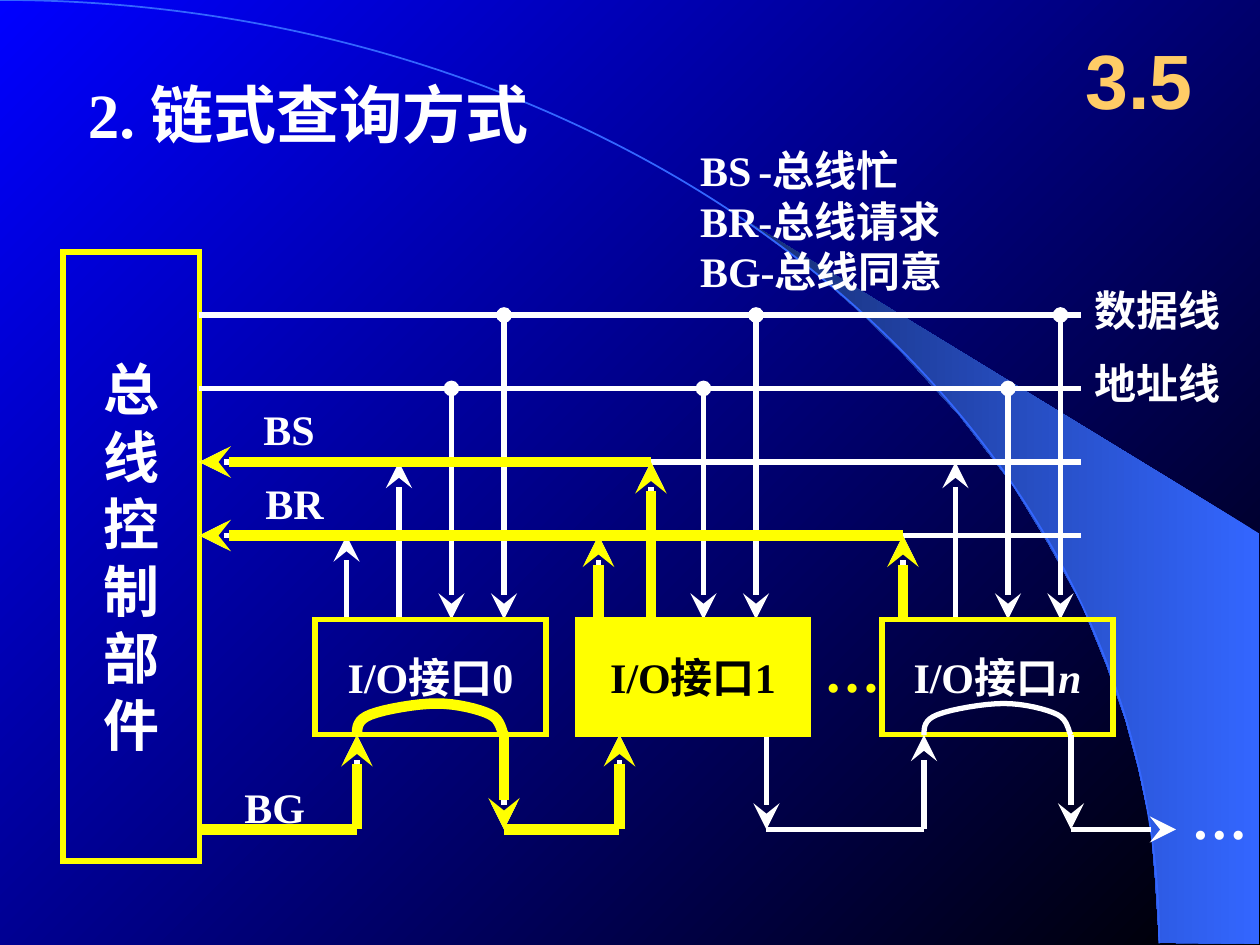
import pptx
import pptx.util
import pptx.dml.color
import pptx.enum.shapes
import pptx.enum.text
import pptx.oxml.ns
import lxml.etree

RGBColor = pptx.dml.color.RGBColor
SHAPES = pptx.enum.shapes.MSO_SHAPE
ALIGN = pptx.enum.text.PP_ALIGN
ANCHOR = pptx.enum.text.MSO_ANCHOR
Pt = pptx.util.Pt

WHITE = RGBColor(0xFF, 0xFF, 0xFF)
BLACK = RGBColor(0, 0, 0)
YELLOW = RGBColor(0xFF, 0xFF, 0)
BLUE = RGBColor(0, 0, 0xFF)
SKY = RGBColor(0x33, 0x66, 0xFF)
NAVY = RGBColor(0x17, 0x2F, 0x75)
GOLD = RGBColor(0xFF, 0xCC, 0x66)
SERIF = "Times New Roman"

# The diagram sits on a grid of 12 steps to the inch: 120 by 90 steps.
DATA, ADDRESS, BUSY, REQUEST = 30, 37, 44, 51
GRANT = 79
BUS_LEFT, BUS_RIGHT = 19, 103
IO_TOP, IO_WIDTH, IO_HEIGHT = 59, 22, 11
IO_BOTTOM = IO_TOP + IO_HEIGHT
TAP_GAP = 5
HUMP_WIDTH = 14


def grid(steps):
    return pptx.util.Cm(steps * 2.54 / 12)


def style_line(shape, color, width, head=None, tail=None):
    """Mitred line; thin arrows get large heads."""
    shape.line.color.rgb = color
    shape.line.width = Pt(width)
    outline = shape.line._get_or_add_ln()
    lxml.etree.SubElement(outline, pptx.oxml.ns.qn("a:miter"), lim="800000")
    for tag, kind in (("a:headEnd", head), ("a:tailEnd", tail)):
        if kind:
            size = "lg" if kind == "stealth" and width == 3 else "med"
            lxml.etree.SubElement(
                outline, pptx.oxml.ns.qn(tag), type=kind, w=size, len=size)


def add_line(slide, start, end, color=WHITE, width=3, head=None, tail=None):
    line = slide.shapes.add_connector(
        pptx.enum.shapes.MSO_CONNECTOR.STRAIGHT, *map(grid, start + end))
    style_line(line, color, width, head, tail)
    lxml.etree.SubElement(line._element.spPr, pptx.oxml.ns.qn("a:effectLst"))


def add_path(slide, points, close=False):
    corners = [(grid(x), grid(y)) for x, y in points]
    builder = slide.shapes.build_freeform(*corners[0])
    builder.add_line_segments(corners[1:], close=close)
    outline = builder.convert_to_shape()
    outline.shadow.inherit = False
    outline.fill.background()
    return outline


def set_font(paragraph, size, color, name=SERIF):
    font = paragraph.font
    font.name, font.size, font.bold = name, Pt(size), True
    font.color.rgb = color


def write(frame, lines, size, color=WHITE, align=ALIGN.LEFT, name=SERIF):
    for index, words in enumerate(lines):
        paragraph = frame.paragraphs[0] if index == 0 else frame.add_paragraph()
        paragraph.alignment = align
        paragraph.add_run().text = words
        set_font(paragraph, size, color, name)


def add_label(slide, box, lines, size=24, color=WHITE):
    frame = slide.shapes.add_textbox(*map(grid, box)).text_frame
    frame.word_wrap = False
    write(frame, lines, size, color)
    return frame


def add_unit(slide, box, lines, size, fill=None, color=WHITE):
    unit = slide.shapes.add_shape(SHAPES.RECTANGLE, *map(grid, box))
    unit.shadow.inherit = False
    if fill is None:
        unit.fill.background()
    else:
        unit.fill.solid()
        unit.fill.fore_color.rgb = fill
    style_line(unit, YELLOW, 3)
    unit.text_frame.word_wrap = False
    unit.text_frame.vertical_anchor = ANCHOR.MIDDLE
    write(unit.text_frame, lines, size, color, ALIGN.CENTER)
    return unit.text_frame


def set_gradient(fill, first, last, angle):
    fill.gradient()
    fill.gradient_angle = angle
    for stop, color, position in zip(fill.gradient_stops, (first, last), (0, 1)):
        stop.color.rgb = color
        stop.position = position


def add_backdrop(slide):
    set_gradient(slide.background.fill, BLACK, BLUE, 135)
    beam = add_path(slide, [
        (110.4, 89.8), (119.9, 89.9), (119.9, 50.8), (70.7, 20.8), (74.9, 23.9),
        (78.4, 26.6), (82.2, 30), (85.9, 33.6), (91.4, 39.6), (96.4, 46.1),
        (99.8, 51.7), (103, 57.5), (105.4, 63.4), (107.2, 68.6), (108.4, 73.1),
        (109.6, 78.7), (110, 83.5)], close=True)
    set_gradient(beam.fill, SKY, NAVY, 180)
    beam.line.fill.background()
    horizon = slide.shapes.add_shape(
        SHAPES.ARC, *map(grid, (-110.4, 0, 220.8, 179.7)))
    horizon.shadow.inherit = False
    horizon.fill.background()
    style_line(horizon, SKY, 1)


def add_headings(slide):
    add_label(slide, (7.2, 6.6, 47, 8.4), ["2. 链式查询方式"], 36)
    section = slide.shapes.add_textbox(*map(grid, (101, 2, 15, 11))).text_frame
    section.word_wrap = True
    section.vertical_anchor = ANCHOR.MIDDLE
    write(section, ["3.5"], 44, GOLD, ALIGN.CENTER, "Arial")


def add_legend(slide, box):
    legend = add_label(slide, box, ["BS", "BR-总线请求", "BG-总线同意"])
    busy = legend.paragraphs[0]
    gap = busy.add_run()
    gap.text = " "
    gap.font.size = Pt(16)
    busy.add_run().text = "-总线忙"


def add_buses(slide, left, right):
    for level, head in ((DATA, None), (ADDRESS, None),
                        (BUSY, "stealth"), (REQUEST, "stealth")):
        add_line(slide, (left, level), (right, level), head=head)
    for level, name in ((DATA, "数据线"), (ADDRESS, "地址线")):
        add_label(slide, (right + 0.1, level - 3.5, 15, 6), [name])
    for x, y, name in ((4.9, 37.8, "BS"), (5.1, 44.9, "BR"), (3.1, 73.8, "BG")):
        add_label(slide, (left + x, y, 10, 6), [name])


def add_taps(slide, first):
    """Request, busy, address and data arrows above one interface."""
    for index, level in enumerate((REQUEST, BUSY, ADDRESS, DATA)):
        x = first + index * TAP_GAP
        bus, port = (x, level), (x, IO_TOP)
        if level in (REQUEST, BUSY):
            add_line(slide, port, bus, tail="stealth")
        else:
            add_line(slide, bus, port, head="oval", tail="stealth")


def add_hump(slide, left, color, width, steps=8):
    """Curve that passes the grant through an interface."""
    curves = [((0, 0), (0, -0.72), (0, -1.45), (1.3, -1.95)),
              ((1.3, -1.95), (2.6, -2.45), (5.7, -3), (7.6, -3)),
              ((7.6, -3), (9.5, -3), (11.7, -2.45), (12.7, -1.95)),
              ((12.7, -1.95), (13.75, -1.45), (13.75, -0.25), (HUMP_WIDTH, 0))]
    points = [(left, IO_BOTTOM)]
    for a, b, c, d in curves:
        for t in (step / steps for step in range(1, steps + 1)):
            weights = ((1 - t) ** 3, 3 * t * (1 - t) ** 2, 3 * t * t * (1 - t), t ** 3)
            x, y = (sum(w * p[axis] for w, p in zip(weights, (a, b, c, d)))
                    for axis in (0, 1))
            points.append((left + x, IO_BOTTOM + y))
    style_line(add_path(slide, points), color, width)


def add_grant_step(slide, start, end, color, width):
    """Grant that runs along the bottom and rises into an interface."""
    add_line(slide, (start, GRANT), (end, GRANT), color, width)
    add_line(slide, (end, GRANT), (end, IO_BOTTOM), color, width, tail="stealth")


def add_grant_drop(slide, x, color=WHITE, width=3):
    add_line(slide, (x, IO_BOTTOM), (x, GRANT), color, width, tail="stealth")


def add_idle_chain(slide):
    for start, end in ((BUS_LEFT, 34), (48, 59), (73, 88)):
        add_grant_step(slide, start, end, WHITE, 3)
    for x in (48, 73, 102):
        add_grant_drop(slide, x)
    add_hump(slide, 88, WHITE, 3)
    add_line(slide, (102, GRANT), (112, GRANT), tail="stealth")
    add_label(slide, (112.3, 74, 7.7, 7.7), ["…"], 32)


def add_active_chain(slide):
    """Highlighted requests, busy signal and grant that reaches interface 1."""
    for x, level in ((62, BUSY), (86, REQUEST)):
        add_line(slide, (x, level), (BUS_LEFT, level), YELLOW, 6, tail="stealth")
    for x, level in ((57, REQUEST), (86, REQUEST), (62, BUSY)):
        add_line(slide, (x, IO_TOP), (x, level), YELLOW, 6, tail="stealth")
    add_grant_step(slide, BUS_LEFT, 34, YELLOW, 6)
    add_hump(slide, 34, YELLOW, 6)
    add_grant_drop(slide, 48, YELLOW, 6)
    add_grant_step(slide, 48, 59, YELLOW, 6)


def add_interface(slide, left, name, **style):
    return add_unit(slide, (left, IO_TOP, IO_WIDTH, IO_HEIGHT), [name], 24, **style)


def main():
    deck = pptx.Presentation()
    deck.slide_width, deck.slide_height = grid(120), grid(90)
    slide = deck.slides.add_slide(deck.slide_layouts[6])
    add_backdrop(slide)
    add_headings(slide)
    add_unit(slide, (6, 24, 13, 58), "总线控制部件", 32)
    add_buses(slide, BUS_LEFT, BUS_RIGHT)
    add_legend(slide, (65.5, 13.2, 30, 15.6))
    for first in (33, 57, 86):
        add_taps(slide, first)
    add_interface(slide, 30, "I/O接口0")
    last = add_interface(slide, 84, "I/O接口").paragraphs[0].add_run()
    last.text = "n"
    last.font.italic = True
    add_label(slide, (77.3, 60, 7.7, 7.7), ["…"], 32, YELLOW)
    add_idle_chain(slide)
    add_active_chain(slide)
    add_interface(slide, 55, "I/O接口1", fill=YELLOW, color=BLACK)
    deck.save("out.pptx")


if __name__ == "__main__":
    main()
